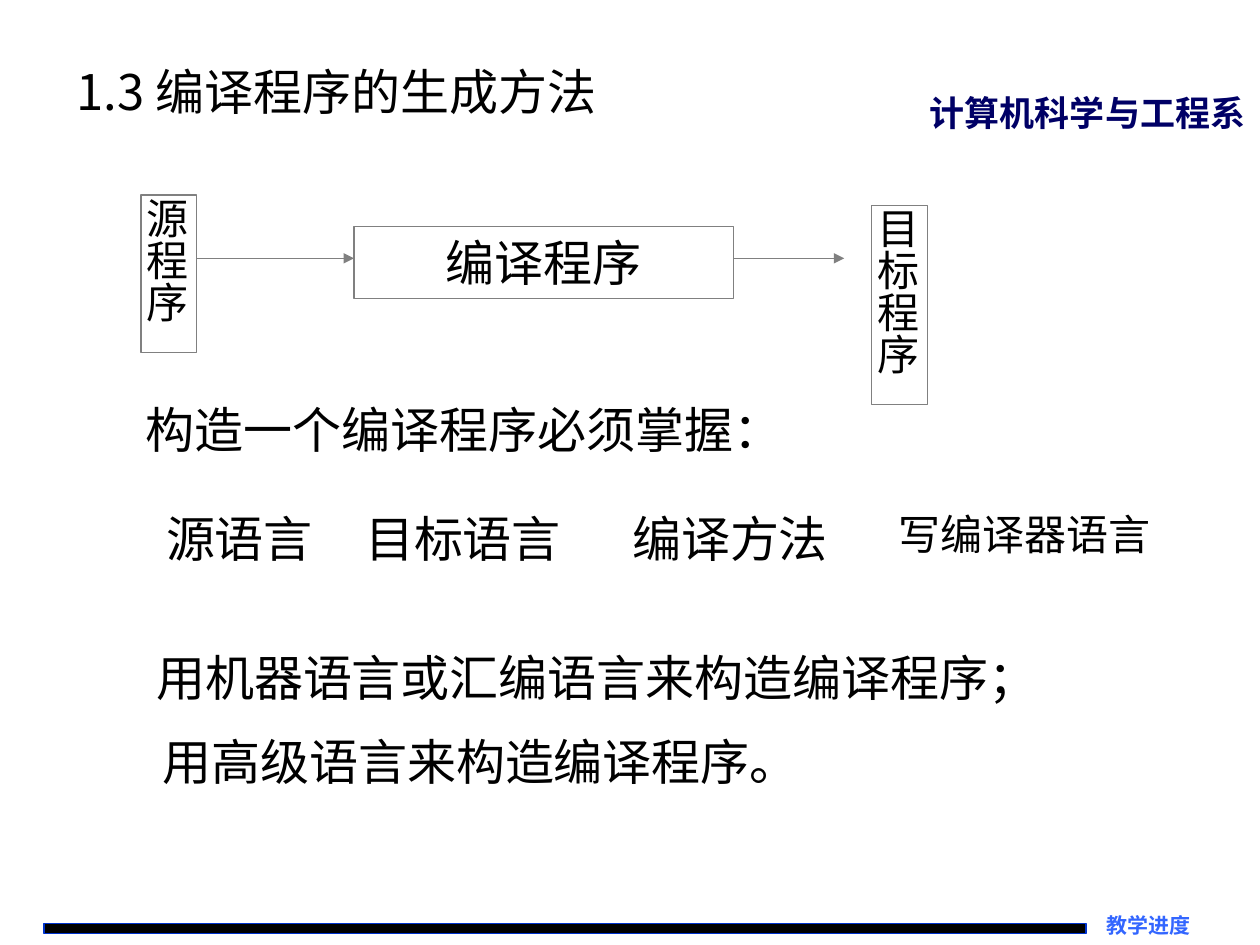
from dataclasses import dataclass

from lxml import etree
from pptx import Presentation
from pptx import util as u
from pptx.dml.color import RGBColor
from pptx.enum import shapes, text
from pptx.oxml import ns


@dataclass(frozen=True)
class Theme:
    ink: str = "000000"
    paper: str = "FFFFFF"
    outline: str = "808080"
    bar_line: str = "0033CC"
    department: str = "000066"
    progress: str = "3366FF"
    cjk: str = "Noto Sans CJK SC"
    latin: str = "Times New Roman"
    large: float = 28
    medium: float = 24
    small: float = 20
    tiny: float = 12
    hairline: float = 0.75


THEME = Theme()


def write(para, words, size=THEME.large, color=THEME.ink, font=THEME.cjk,
          bold=False, align=text.PP_ALIGN.LEFT, before=None):
    para.alignment = align
    para.space_before = u.Pt(size * 0.625 if before is None else before)
    span = para.add_run()
    span.text = words
    span.font.size = u.Pt(size)
    span.font.bold = bold
    span.font.color.rgb = RGBColor.from_string(color)
    span.font.name = font
    latin = span.font._element.find(ns.qn("a:latin"))
    latin.addnext(etree.Element(ns.qn("a:ea"), typeface=THEME.cjk))


class Painter:
    def __init__(self, deck, theme):
        self.theme = theme
        self.page = deck.slides.add_slide(deck.slide_layouts[1])

    def frame(self, box, inset=(7.2, 3.6), wrap=True):
        frame = box.text_frame
        frame.word_wrap = wrap
        frame.auto_size = text.MSO_AUTO_SIZE.NONE
        frame.vertical_anchor = text.MSO_ANCHOR.TOP
        frame.margin_left = frame.margin_right = u.Pt(inset[0])
        frame.margin_top = frame.margin_bottom = u.Pt(inset[1])
        return frame

    def place(self, box, area):
        box.left, box.top, box.width, box.height = map(u.Pt, area)

    def title(self, words, area):
        box = self.page.shapes.title
        self.place(box, area)
        write(self.frame(box).paragraphs[0], words)

    def body(self, lines, area, gap, step):
        box = self.page.placeholders[1]
        self.place(box, area)
        frame = self.frame(box)
        for index, words in enumerate(lines):
            para = frame.add_paragraph() if index else frame.paragraphs[0]
            write(para, words, before=gap * index)
            props = para._p.get_or_add_pPr()
            props.set("marL", str(u.Pt(step * index)))
            props.set("indent", "0")
            etree.SubElement(props, ns.qn("a:buNone"))

    def rect(self, area, fill, line=None):
        box = self.page.shapes.add_shape(shapes.MSO_SHAPE.RECTANGLE, *map(u.Pt, area))
        box.shadow.inherit = False
        box.fill.solid()
        box.fill.fore_color.rgb = RGBColor.from_string(fill)
        if line:
            box.line.color.rgb = RGBColor.from_string(line)
            box.line.width = u.Pt(self.theme.hairline)
        else:
            box.line.fill.background()
        return box

    def panel(self, words, area, line=None, vertical=False, **style):
        box = self.rect(area, self.theme.paper, line)
        frame = self.frame(box, (2.88, 1.44) if vertical else (7.2, 3.6))
        if vertical:
            frame._txBody.bodyPr.set("vert", "eaVert")
        write(frame.paragraphs[0], words, **style)

    def label(self, words, area, inset=(7.2, 3.6), wrap=True, **style):
        box = self.page.shapes.add_textbox(*map(u.Pt, area))
        write(self.frame(box, inset, wrap).paragraphs[0], words, **style)

    def arrow(self, start, end, level):
        link = self.page.shapes.add_connector(
            shapes.MSO_CONNECTOR.STRAIGHT, *map(u.Pt, (start, level, end, level)))
        link.line.color.rgb = RGBColor.from_string(self.theme.outline)
        link.line.width = u.Pt(self.theme.hairline)
        etree.SubElement(link.line._get_or_add_ln(), ns.qn("a:tailEnd"), type="triangle")
        etree.SubElement(link._element.spPr, ns.qn("a:effectLst"))


def main():
    deck = Presentation()
    deck.slide_width, deck.slide_height = u.Pt(720), u.Pt(540)
    painter = Painter(deck, THEME)

    painter.rect((25.2, 527.8, 595.4, 5.8), THEME.ink, THEME.bar_line)
    painter.label("教学进度", (620.6, 521.3, 59.8, 15.1), inset=(0, 0), wrap=False,
                  size=THEME.tiny, color=THEME.progress, font=THEME.latin,
                  bold=True, align=text.PP_ALIGN.RIGHT)
    painter.label("计算机科学与工程系", (524.2, 49, 195.8, 31.7), size=THEME.small,
                  color=THEME.department, font=THEME.latin, bold=True)

    painter.title("1.3 编译程序的生成方法", (36.7, 31.7, 396.7, 41))
    painter.body(["用机器语言或汇编语言来构造编译程序；", "用高级语言来构造编译程序。"],
                 (82.1, 366.5, 558, 95.8), gap=14.5, step=3.6)

    painter.panel("编译程序", (202.3, 129.6, 216.9, 41), line=THEME.outline,
                  align=text.PP_ALIGN.CENTER)
    for words, area in (("源程序", (80.6, 111.4, 31.7, 90)),
                        ("目标程序", (498.2, 117.4, 31.7, 113.8))):
        painter.panel(words, area, line=THEME.outline, vertical=True, size=THEME.medium)
    for start, end in ((112.3, 202.3), (419.6, 482.4)):
        painter.arrow(start, end, 147.6)

    painter.panel("构造一个编译程序必须掌握：", (76.3, 224.6, 408.2, 41))
    for words, left, width in (("源语言", 87.8, 102.2), ("目标语言", 201.6, 131.8),
                               ("编译方法", 354.2, 131.8)):
        painter.panel(words, (left, 287.3, width, 41))
    painter.panel("写编译器语言", (506.2, 287.3, 180.7, 36), size=THEME.medium)

    deck.save("out.pptx")


if __name__ == "__main__":
    main()
